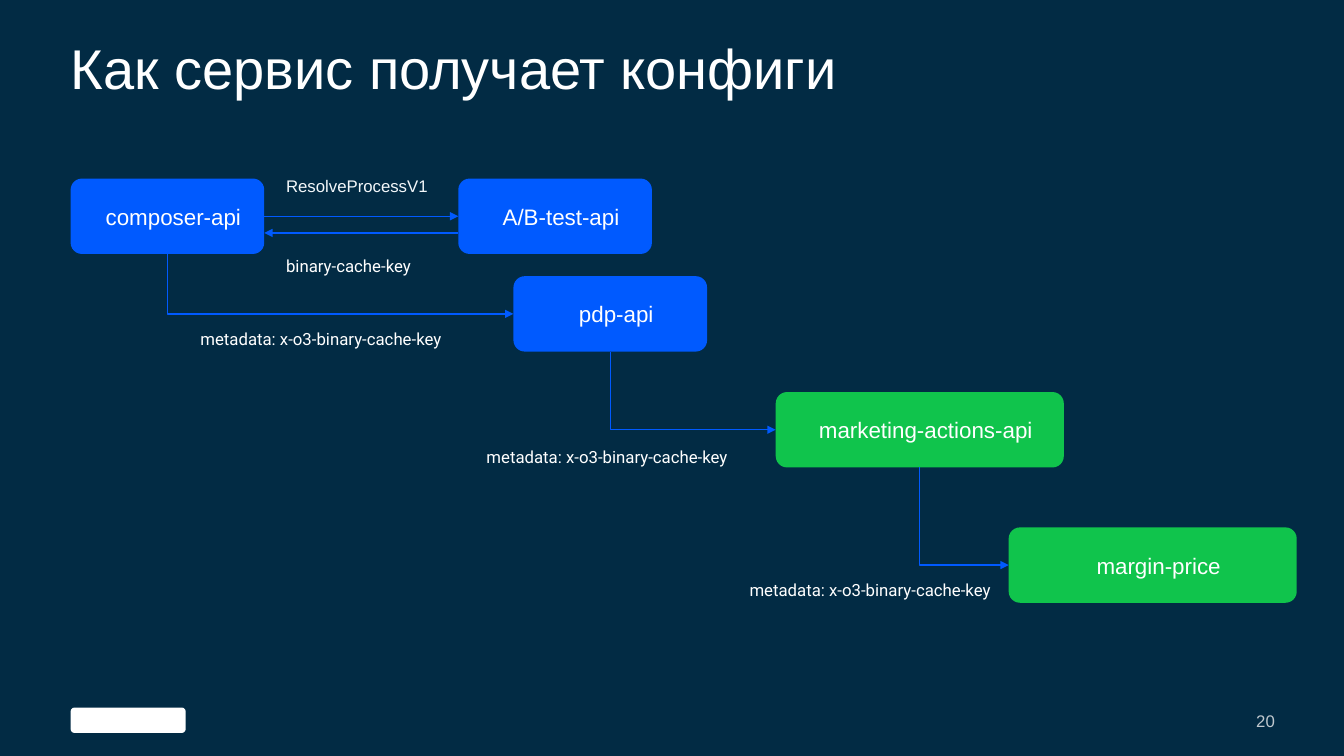
"""Build a slide that shows how a service receives its configs."""
from dataclasses import dataclass

from lxml import etree
from pptx import Presentation
from pptx.dml.color import RGBColor
from pptx.enum.shapes import MSO_CONNECTOR, MSO_SHAPE
from pptx.enum.text import MSO_ANCHOR, MSO_AUTO_SIZE, PP_ALIGN
from pptx.oxml.ns import qn
from pptx.shapes.autoshape import Shape
from pptx.shapes.connector import Connector
from pptx.slide import Slide
from pptx.text.text import TextFrame
from pptx.util import Cm, Pt

ROUNDED = MSO_SHAPE.ROUNDED_RECTANGLE
STRAIGHT, ELBOW = MSO_CONNECTOR.STRAIGHT, MSO_CONNECTOR.ELBOW
TOP, MIDDLE = MSO_ANCHOR.TOP, MSO_ANCHOR.MIDDLE
LEFT, CENTER, RIGHT = PP_ALIGN.LEFT, PP_ALIGN.CENTER, PP_ALIGN.RIGHT
LEFT_SITE, BOTTOM_SITE, RIGHT_SITE = 1, 2, 3
TITLE_ONLY_LAYOUT = 5


@dataclass(frozen=True)
class Theme:
    """Colours, fonts and type sizes of the slide."""
    background: str = "022B44"
    blue: str = "005AFF"
    green: str = "10C44C"
    white: str = "FFFFFF"
    pale: str = "F3F7FA"
    grey: str = "C0C8CE"
    main_font: str = "Arial"
    label_font: str = "Roboto"
    title_size: float = 40
    service_size: float = 16
    label_size: float = 12


THEME = Theme()


@dataclass(frozen=True)
class Service:
    """A service box; lengths in centimetres."""
    name: str
    left: float
    top: float
    width: float = 4.88
    color: str = THEME.blue
    height: float = 1.9


@dataclass(frozen=True)
class Label:
    """A caption beside an arrow; lengths in centimetres."""
    text: str
    left: float
    top: float
    width: float = 6.76
    font: str = THEME.label_font
    color: str = THEME.white


COMPOSER = Service("composer-api", 1.78, 4.5)
AB_TEST = Service("A/B-test-api", 11.55, 4.5)
PRODUCT_PAGE = Service("pdp-api", 12.94, 6.96)
MARKETING = Service("marketing-actions-api", 19.55, 9.88, 7.26, THEME.green)
MARGIN_PRICE = Service("margin-price", 25.42, 13.29, 7.26, THEME.green)
CALL_CHAIN = (COMPOSER, PRODUCT_PAGE, MARKETING, MARGIN_PRICE)

METADATA = "metadata: x-o3-binary-cache-key"
LABELS = (
    Label("ResolveProcessV1", 6.96, 4.3, 4.88, THEME.main_font, THEME.pale),
    Label("binary-cache-key", 6.96, 6.32, 3.81),
    Label(METADATA, 4.8, 8.15),
    Label(METADATA, 12.01, 11.13),
    Label(METADATA, 18.64, 14.48),
)
REPLY_TOP = 5.87


def write_text(frame: TextFrame, text: str, *, size: float, color: str = THEME.white,
               font: str = THEME.main_font, align: PP_ALIGN = LEFT,
               anchor: MSO_ANCHOR = TOP, line_spacing: float = 1.0,
               margins: tuple[float, ...] = (0, 0, 0, 0)) -> None:
    """Fill a text frame with one formatted paragraph."""
    frame.word_wrap = True
    frame.auto_size = MSO_AUTO_SIZE.NONE
    frame.vertical_anchor = anchor
    (frame.margin_left, frame.margin_top,
     frame.margin_right, frame.margin_bottom) = map(Cm, margins)
    paragraph = frame.paragraphs[0]
    paragraph.alignment = align
    paragraph.line_spacing = line_spacing
    run = paragraph.add_run()
    run.text = text
    run.font.size = Pt(size)
    run.font.name = font
    run.font.color.rgb = RGBColor.from_string(color)


def add_rounded(slide: Slide, left: float, top: float, width: float, height: float,
                color: str) -> Shape:
    """Add a flat rounded rectangle."""
    shape = slide.shapes.add_shape(ROUNDED, Cm(left), Cm(top), Cm(width), Cm(height))
    shape.adjustments[0] = 0.15
    shape.shadow.inherit = False
    shape.fill.solid()
    shape.fill.fore_color.rgb = RGBColor.from_string(color)
    shape.line.fill.background()
    return shape


def add_service(slide: Slide, service: Service) -> Shape:
    """Add a service box with its name."""
    shape = add_rounded(slide, service.left, service.top, service.width,
                        service.height, service.color)
    write_text(shape.text_frame, service.name, size=THEME.service_size,
               align=CENTER, anchor=MIDDLE, margins=(0.3, 0, 0, 0))
    return shape


def add_label(slide: Slide, label: Label) -> None:
    """Add a caption."""
    box = slide.shapes.add_textbox(Cm(label.left), Cm(label.top),
                                   Cm(label.width), Cm(0.76))
    write_text(box.text_frame, label.text, size=THEME.label_size, color=label.color,
               font=label.font, margins=(0.25, 0.13, 0.25, 0.13))


def add_arrow(slide: Slide, kind: MSO_CONNECTOR, start: tuple[int, int] = (0, 0),
              end: tuple[int, int] = (0, 0)) -> Connector:
    """Add a thin blue connector with an arrowhead at its end."""
    arrow = slide.shapes.add_connector(kind, *start, *end)
    arrow.line.color.rgb = RGBColor.from_string(THEME.blue)
    arrow.line.width = Pt(1)
    properties = arrow.element.spPr
    etree.SubElement(properties.find(qn("a:ln")), qn("a:tailEnd"), type="triangle")
    etree.SubElement(properties, qn("a:effectLst"))
    return arrow


def add_call(slide: Slide, caller: Shape, callee: Shape) -> None:
    """Link the bottom of the caller to the left side of the callee."""
    arrow = add_arrow(slide, ELBOW)
    arrow.begin_connect(caller, BOTTOM_SITE)
    arrow.end_connect(callee, LEFT_SITE)
    left, top = caller.left + caller.width // 2, caller.top + caller.height
    across = callee.left - left
    down = callee.top + callee.height // 2 - top
    arrow.left, arrow.top = left + (across - down) // 2, top + (down - across) // 2
    arrow.width, arrow.height = down, across
    properties = arrow.element.spPr
    properties.find(qn("a:prstGeom")).set("prst", "bentConnector2")
    frame = properties.find(qn("a:xfrm"))
    frame.attrib.pop("flipV", None)
    frame.set("rot", "16200000")
    frame.set("flipH", "1")


def main() -> None:
    """Build and save the presentation."""
    presentation = Presentation()
    presentation.slide_width, presentation.slide_height = Cm(33.87), Cm(19.05)
    slide = presentation.slides.add_slide(presentation.slide_layouts[TITLE_ONLY_LAYOUT])
    slide.background.fill.solid()
    slide.background.fill.fore_color.rgb = RGBColor.from_string(THEME.background)

    title = slide.shapes.title
    title.left, title.top, title.width, title.height = map(Cm, (1.78, 1.14, 30.3, 1.9))
    write_text(title.text_frame, "Как сервис получает конфиги",
               size=THEME.title_size, line_spacing=0.82)

    add_rounded(slide, 1.78, 17.83, 2.9, 0.64, THEME.white)
    number = slide.shapes.add_textbox(Cm(29.62), Cm(17.86), Cm(2.51), Cm(0.61))
    write_text(number.text_frame, "20", size=THEME.label_size, color=THEME.grey,
               align=RIGHT, anchor=MIDDLE)

    chain = [add_service(slide, service) for service in CALL_CHAIN]
    ab_test = add_service(slide, AB_TEST)
    request = add_arrow(slide, STRAIGHT)
    request.begin_connect(chain[0], RIGHT_SITE)
    request.end_connect(ab_test, LEFT_SITE)
    add_arrow(slide, STRAIGHT, (ab_test.left, Cm(REPLY_TOP)),
              (chain[0].left + chain[0].width, Cm(REPLY_TOP)))
    for caller, callee in zip(chain, chain[1:]):
        add_call(slide, caller, callee)
    for label in LABELS:
        add_label(slide, label)

    presentation.save("out.pptx")


if __name__ == "__main__":
    main()
